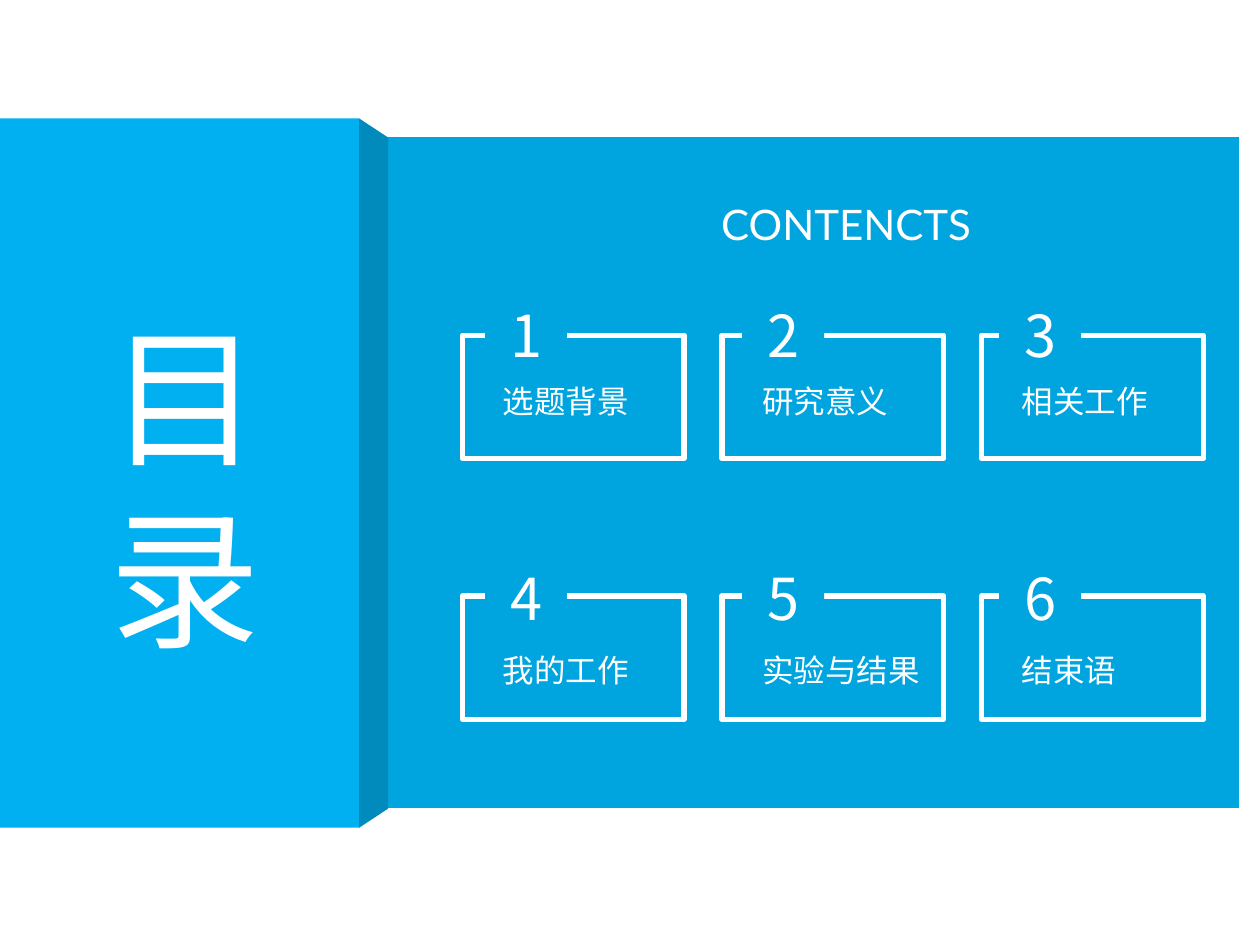
from dataclasses import dataclass

from lxml.etree import SubElement
from pptx import Presentation
from pptx.dml.color import RGBColor
from pptx.enum.shapes import MSO_SHAPE
from pptx.enum.text import MSO_ANCHOR, PP_ALIGN
from pptx.oxml.ns import qn
from pptx.util import Inches, Pt


@dataclass(frozen=True)
class Theme:
    panel: RGBColor = RGBColor(0x00, 0xA4, 0xDE)
    cover: RGBColor = RGBColor(0x00, 0xB0, 0xF0)
    fold: RGBColor = RGBColor(0x00, 0x8B, 0xBC)
    white: RGBColor = RGBColor(0xFF, 0xFF, 0xFF)
    title_size: float = 86.2
    number_size: float = 33
    heading_size: float = 24
    label_size: float = 18


theme = Theme()
deck = Presentation()
deck.slide_width, deck.slide_height = Inches(10), Inches(7.5)
page = deck.slides.add_slide(deck.slide_layouts[6])


def add_block(kind, left, top, width, height, fill=None):
    """Add a shape with a plain fill, or a white frame when no fill is given."""
    block = page.shapes.add_shape(
        kind, Inches(left), Inches(top), Inches(width), Inches(height))
    block.shadow.inherit = False
    if fill is None:
        block.fill.background()
        block.line.color.rgb = theme.white
        block.line.width = Pt(3)
    else:
        block.fill.solid()
        block.fill.fore_color.rgb = fill
        block.line.fill.background()
    return block


def write(box, text, size, font, align=PP_ALIGN.CENTER):
    """Put one white paragraph in the box, with one font for all scripts."""
    frame = box.text_frame
    frame.word_wrap = True
    frame.vertical_anchor = MSO_ANCHOR.MIDDLE
    para = frame.paragraphs[0]
    para.text = text
    para.alignment = align
    para.font.size = Pt(size)
    para.font.name = font
    para.font.color.rgb = theme.white
    properties = para._p.pPr.find(qn("a:defRPr"))
    SubElement(properties, qn("a:ea")).set("typeface", font)
    return para


# Background panel, cover and the fold between them
panel = add_block(MSO_SHAPE.TRAPEZOID, 3.79, 0.37, 5.33, 6.76, theme.panel)
panel.adjustments[0] = 0
panel.rotation = 90

add_block(MSO_SHAPE.RECTANGLE, 0, 0.94, 2.85, 5.63, theme.cover)
title_box = page.shapes.add_textbox(
    Inches(0.77), Inches(2.32), Inches(1.31), Inches(3.06))
title = write(title_box, "目录", theme.title_size, "Noto Sans CJK JP")
title.line_spacing = Pt(104)

fold = add_block(MSO_SHAPE.TRAPEZOID, 0.15, 3.64, 5.63, 0.23, theme.fold)
fold.adjustments[0] = 0.66
fold.rotation = 90

# Grid of numbered topics
topics = ["选题背景", "研究意义", "相关工作", "我的工作", "实验与结果", "结束语"]
columns = 3
row_tops = [(2.66, 2.33, 2.97), (4.73, 4.42, 5.11)]  # frame, number, label

for index, topic in enumerate(topics):
    row, column = divmod(index, columns)
    frame_top, number_top, label_top = row_tops[row]

    add_block(MSO_SHAPE.RECTANGLE, 3.67 + 2.06 * column, frame_top, 1.76, 0.98)

    number = add_block(MSO_SHAPE.RECTANGLE, 3.85 + 2.04 * column, number_top,
                       0.65, 0.65, theme.panel)
    write(number, str(index + 1), theme.number_size, "Noto Sans CJK SC")

    label = page.shapes.add_textbox(
        Inches(3.89 + 2.06 * column), Inches(label_top), Inches(1.53), Inches(0.42))
    write(label, topic, theme.label_size, "Roboto", PP_ALIGN.LEFT)

heading = page.shapes.add_textbox(
    Inches(5.29), Inches(1.51), Inches(2.85), Inches(0.53))
write(heading, "CONTENCTS", theme.heading_size, "Lato")

deck.save("out.pptx")
